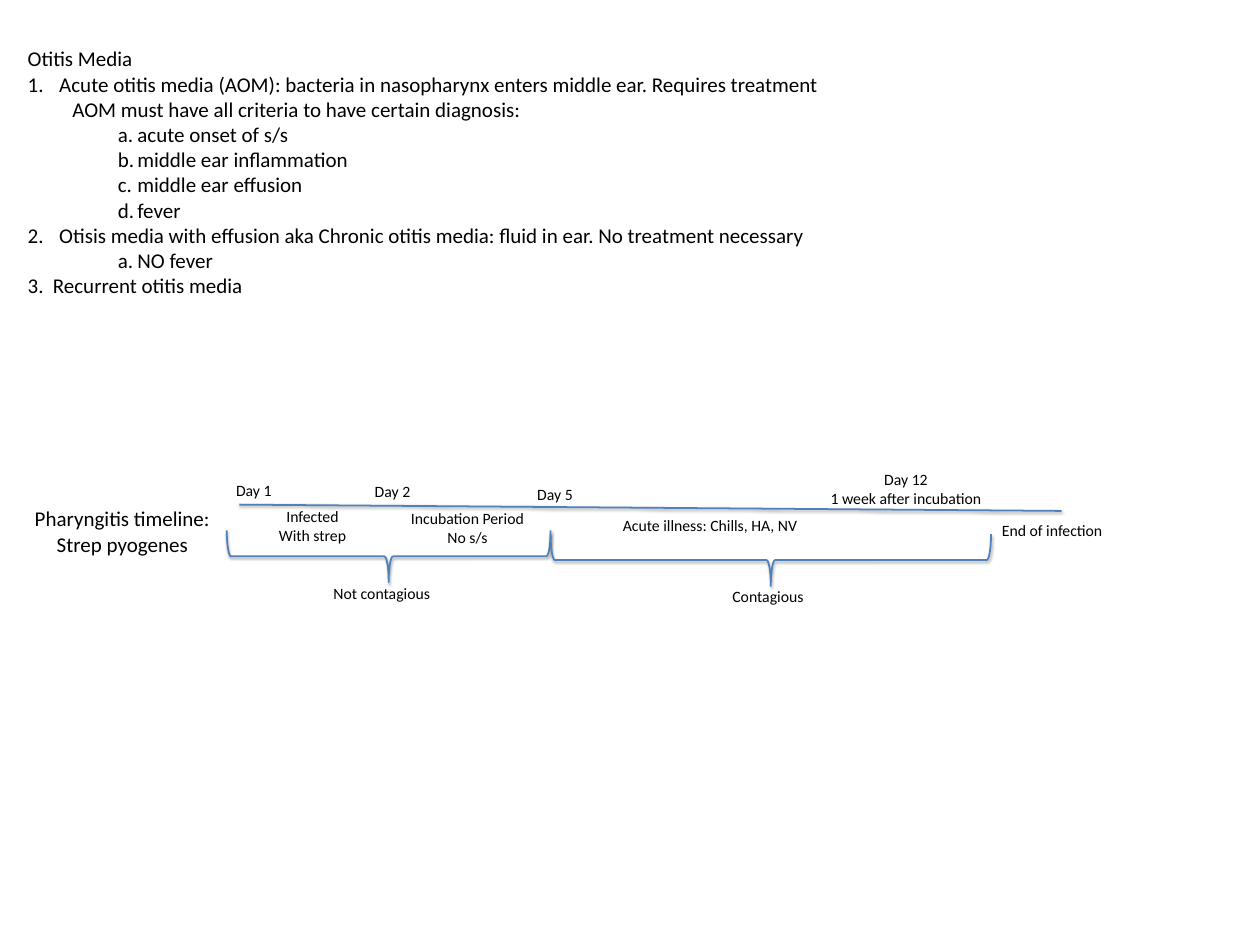
"""Build a slide with otitis media notes and a pharyngitis timeline."""
from lxml import etree
from pptx import Presentation, util as u
from pptx.dml.color import RGBColor
from pptx.enum import shapes, text
from pptx.oxml import ns

WIDTH, HEIGHT = 20, 15
COLORS = {"text": "000000", "line": "4F81BD", "shadow": "000000"}
FONT = "Calibri"
LINE_WIDTH = 2
SHADOW = {"blurRad": u.Pt(3.1), "dist": u.Pt(1.6), "dir": 90 * 60000, "rotWithShape": 0}
SHADOW_OPACITY = 38000
INSETS = {"margin_left": 0.14, "margin_right": 0.14, "margin_top": 0.07, "margin_bottom": 0.07}

TITLE = "Otitis Media"
TITLE_BOX = (0.3, 0.66, 19.33, 0.55)
NOTES_BOX = (0.3, 1.06, 19.33, 3.78)
NOTES = [
    ("number", "Acute otitis media (AOM): bacteria in nasopharynx enters middle ear. Requires treatment"),
    ("plain", "AOM must have all criteria to have certain diagnosis:"),
    ("letter", "acute onset of s/s"),
    ("letter", "middle ear inflammation"),
    ("letter", "middle ear effusion"),
    ("letter", "fever"),
    ("number", "Otisis media with effusion aka Chronic otitis media: fluid in ear. No treatment necessary"),
    ("letter", "NO fever"),
    ("last number", "Recurrent otitis media"),
]
NOTE_STYLES = {
    "number": (0, 0.5, -0.5, "arabicPeriod"),
    "last number": (0, 0.4, -0.4, "arabicPeriod"),
    "plain": (1, 0.71, 0, None),
    "letter": (1, 1.74, -0.31, "alphaLcPeriod"),
}

TIMELINE = (3.8, 8.01, 16.85, 8.11)
BRACE_DEPTH = 0.82
BRACES = [(3.6, 8.74, 8.42), (8.74, 15.73, 8.48)]
LABELS = [
    ("Day 1", 4.03, 7.56, 0.86, 18),
    ("Day 2", 6.23, 7.57, 0.86, 18),
    ("Day 5", 8.81, 7.62, 0.86, 18),
    ("Day 12\n1 week after incubation", 14.38, 7.39, 2.71, 18),
    ("Infected\nWith strep", 4.96, 7.98, 1.37, 18),
    ("Incubation Period\nNo s/s", 7.42, 8.01, 2.11, 18),
    ("Acute illness: Chills, HA, NV", 11.27, 8.11, 3.08, 18),
    ("End of infection", 16.7, 8.19, 1.91, 18),
    ("Not contagious", 6.06, 9.2, 1.85, 18),
    ("Contagious", 12.19, 9.24, 1.44, 18),
    ("Pharyngitis timeline:\nStrep pyogenes", 1.94, 7.96, 3.09, 24),
]


def inches(values):
    return [u.Inches(value) for value in values]


def place(shape, box):
    for name, value in zip(("left", "top", "width", "height"), inches(box)):
        setattr(shape, name, value)


def prepare_frame(shape, wrap):
    frame = shape.text_frame
    settings = {name: u.Inches(value) for name, value in INSETS.items()}
    settings.update(word_wrap=wrap, auto_size=text.MSO_AUTO_SIZE.NONE,
                    vertical_anchor=text.MSO_ANCHOR.TOP)
    for name, value in settings.items():
        setattr(frame, name, value)
    return frame


def write(paragraph, words, size, alignment):
    paragraph.alignment = alignment
    paragraph.space_before = u.Pt(0)
    font_format = {"name": FONT, "size": u.Pt(size), "bold": False}
    run = paragraph.add_run()
    run.text = words
    for name, value in font_format.items():
        setattr(run.font, name, value)
    run.font.color.rgb = RGBColor.from_string(COLORS["text"])


def add_lines(frame, lines):
    for index, line in enumerate(lines):
        yield frame.paragraphs[0] if index == 0 else frame.add_paragraph(), line


def set_list_style(paragraph, level, margin, indent, numbering):
    paragraph.level = level
    properties = paragraph._p.get_or_add_pPr()
    properties.set("marL", str(u.Inches(margin)))
    properties.set("indent", str(u.Inches(indent)))
    if numbering:
        etree.SubElement(properties, ns.qn("a:buFont"), typeface=FONT)
        etree.SubElement(properties, ns.qn("a:buAutoNum"), type=numbering)
    else:
        etree.SubElement(properties, ns.qn("a:buNone"))


def style_line(shape):
    shape.line.color.rgb = RGBColor.from_string(COLORS["line"])
    shape.line.width = u.Pt(LINE_WIDTH)
    effects = etree.SubElement(shape._element.spPr, ns.qn("a:effectLst"))
    shadow = etree.SubElement(effects, ns.qn("a:outerShdw"),
                              {name: str(int(value)) for name, value in SHADOW.items()})
    color = etree.SubElement(shadow, ns.qn("a:srgbClr"), val=COLORS["shadow"])
    etree.SubElement(color, ns.qn("a:alpha"), val=str(SHADOW_OPACITY))


def add_notes(slide):
    title, notes = slide.placeholders
    place(title, TITLE_BOX)
    write(prepare_frame(title, True).paragraphs[0], TITLE, 24, text.PP_ALIGN.LEFT)
    place(notes, NOTES_BOX)
    for paragraph, (style, words) in add_lines(prepare_frame(notes, True), NOTES):
        set_list_style(paragraph, *NOTE_STYLES[style])
        write(paragraph, words, 24, text.PP_ALIGN.LEFT)


def add_label(slide, words, center, top, width, size):
    lines = words.split("\n")
    height = len(lines) * size / 60 + 0.15
    label = slide.shapes.add_textbox(*inches((center - width / 2, top, width, height)))
    for paragraph, line in add_lines(prepare_frame(label, False), lines):
        write(paragraph, line, size, text.PP_ALIGN.CENTER)


def add_brace(slide, start, end, top):
    span = end - start
    left = (start + end - BRACE_DEPTH) / 2
    box = (left, top + (BRACE_DEPTH - span) / 2, BRACE_DEPTH, span)
    brace = slide.shapes.add_shape(shapes.MSO_SHAPE.LEFT_BRACE, *inches(box))
    brace.rotation = 270
    brace.fill.background()
    style_line(brace)


def main():
    presentation = Presentation()
    presentation.slide_width, presentation.slide_height = inches((WIDTH, HEIGHT))
    slide = presentation.slides.add_slide(presentation.slide_layouts[1])
    add_notes(slide)
    style_line(slide.shapes.add_connector(shapes.MSO_CONNECTOR.STRAIGHT, *inches(TIMELINE)))
    for brace in BRACES:
        add_brace(slide, *brace)
    for label in LABELS:
        add_label(slide, *label)
    presentation.save("out.pptx")


if __name__ == "__main__":
    main()
